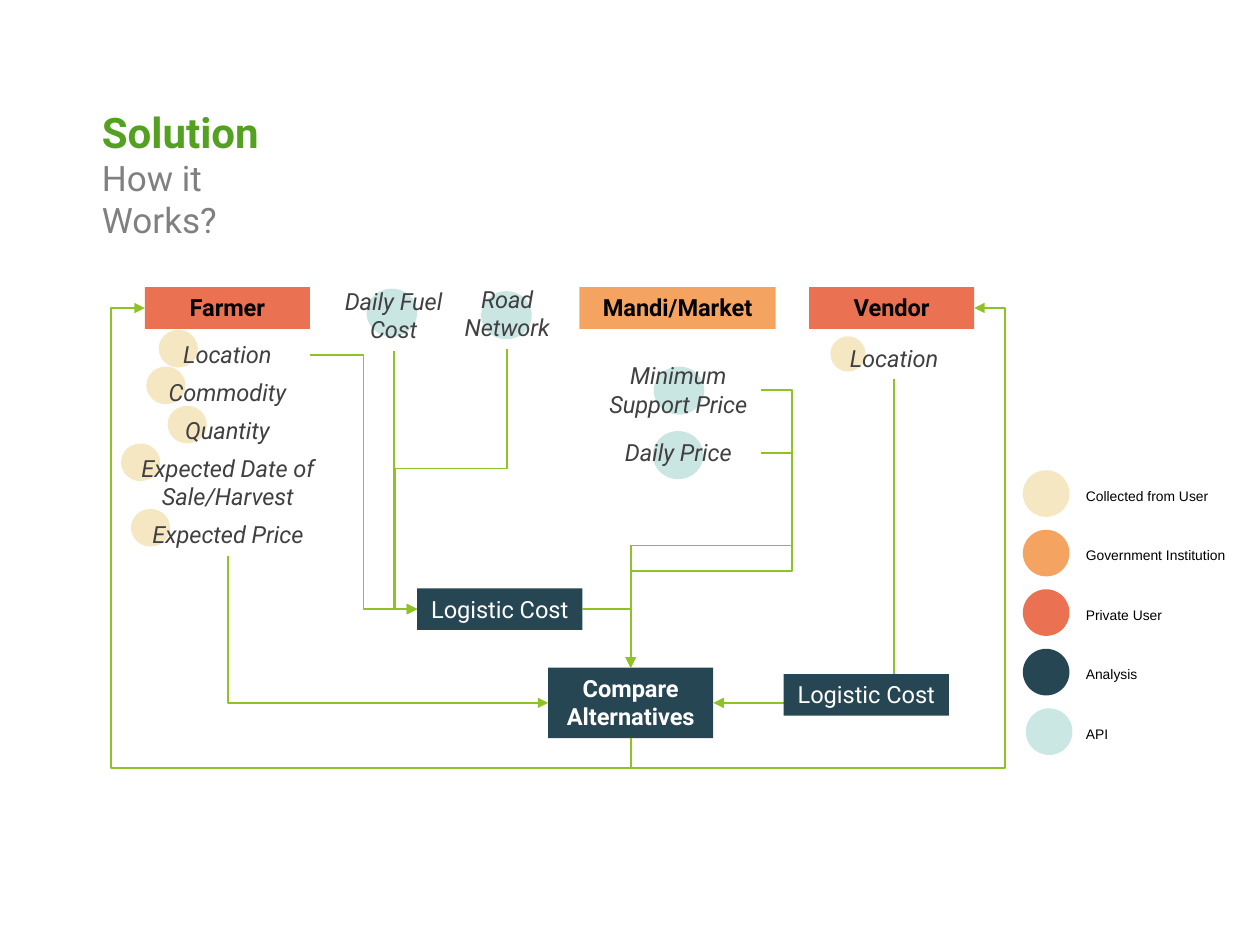
from dataclasses import dataclass

from lxml.etree import SubElement
from pptx import Presentation
from pptx.dml.color import RGBColor
from pptx.enum.shapes import MSO_CONNECTOR as CONN, MSO_SHAPE as SHAPE
from pptx.enum.text import MSO_ANCHOR as ANCHOR, MSO_AUTO_SIZE as FIT, PP_ALIGN as ALIGN
from pptx.oxml.ns import qn
from pptx.util import Cm, Pt


@dataclass(frozen=True)
class Theme:
    font: str = "Roboto"
    legend_font: str = "Arial"
    title_size: float = 24
    subtitle_size: float = 20
    body_size: float = 13.5
    legend_size: float = 7.9
    title: str = "54A021"
    subtitle: str = "808080"
    body: str = "404040"
    black: str = "000000"
    white: str = "FFFFFF"
    line: str = "90C226"
    user: str = "E9C46B"
    api: str = "7BC2B9"
    api_legend: str = "CAE7E3"
    government: str = "F5A361"
    private: str = "EA7152"
    analysis: str = "264653"
    soft: int = 40


THEME = Theme()
TOP, LEFT, BOTTOM, RIGHT = range(4)
BOX_W, ONE_LINE, TWO_LINES = 3.33, 0.84, 1.42


def write(tf, text, size=THEME.body_size, font=THEME.font, color=THEME.body,
          bold=False, italic=False, align=ALIGN.CENTER):
    """Fill the empty first paragraph, or add one after the existing text."""
    p = tf.add_paragraph() if tf.text else tf.paragraphs[0]
    p.alignment = align
    r = p.add_run()
    r.text = text
    f = r.font
    f.size, f.name, f.bold, f.italic = Pt(size), font, bold, italic
    f.color.rgb = RGBColor.from_string(color)


def side_point(sp, side):
    x = {LEFT: 0, RIGHT: sp.width}.get(side, sp.width // 2)
    y = {TOP: 0, BOTTOM: sp.height}.get(side, sp.height // 2)
    return sp.left + x, sp.top + y


class Diagram:
    def __init__(self, slide, theme):
        self.s, self.theme = slide, theme

    def title(self, heading, subtitle, x, y, w, h):
        t, sp = self.theme, self.s.shapes.title
        sp.left, sp.top, sp.width, sp.height = Cm(x), Cm(y), Cm(w), Cm(h)
        tf = sp.text_frame
        tf.word_wrap, tf.auto_size = True, FIT.NONE
        tf.vertical_anchor = ANCHOR.TOP
        write(tf, heading, size=t.title_size, color=t.title, bold=True, align=ALIGN.LEFT)
        write(tf, subtitle, size=t.subtitle_size, color=t.subtitle, align=ALIGN.LEFT)

    def shape(self, kind, x, y, w, h, fill, alpha=100):
        sp = self.s.shapes.add_shape(kind, Cm(x), Cm(y), Cm(w), Cm(h))
        sp.shadow.inherit = False
        sp.fill.solid()
        sp.fill.fore_color.rgb = RGBColor.from_string(fill)
        sp.line.fill.background()
        if alpha < 100:
            clr = sp.element.spPr.find(qn("a:solidFill"))[0]
            SubElement(clr, qn("a:alpha"), val=str(alpha * 1000))
        return sp

    def dot(self, x, y, w, h, fill, alpha=100):
        return self.shape(SHAPE.OVAL, x, y, w, h, fill, alpha)

    def box(self, text, x, y, fill, w=BOX_W, h=ONE_LINE, **fmt):
        sp = self.shape(SHAPE.RECTANGLE, x, y, w, h, fill)
        tf = sp.text_frame
        tf.word_wrap, tf.auto_size = True, FIT.SHAPE_TO_FIT_TEXT
        tf.vertical_anchor = ANCHOR.TOP
        write(tf, text, **fmt)
        return sp

    def label(self, text, x, y, w=BOX_W, h=ONE_LINE, **fmt):
        sp = self.s.shapes.add_textbox(Cm(x), Cm(y), Cm(w), Cm(h))
        tf = sp.text_frame
        tf.word_wrap, tf.auto_size = True, FIT.SHAPE_TO_FIT_TEXT
        write(tf, text, **fmt)
        return sp

    def elbow(self, start, start_side, end, end_side, bends, *adjust):
        """Join two sides by an arrow; adjust gives bend places as shares of its extent."""
        (x1, y1), (x2, y2) = side_point(start, start_side), side_point(end, end_side)
        cx = self.s.shapes.add_connector(CONN.ELBOW, x1, y1, x2, y2)
        cx.begin_connect(start, start_side)
        cx.end_connect(end, end_side)

        # The preset leaves along its own x axis, so a vertical exit needs a turn.
        vertical = start_side in (TOP, BOTTOM)
        right, up = x2 > x1, y2 < y1
        w, h = abs(x2 - x1), abs(y2 - y1)
        if vertical:
            w, h = h, w
        cx.left, cx.top = (x1 + x2 - w) // 2, (y1 + y2 - h) // 2
        cx.width, cx.height = w, h
        turn = 0 if not vertical else 270 if right and not up else 90
        flip_h = (up or right) if vertical else not right
        flip_v = vertical and up and right
        spPr = cx.element.spPr
        xfrm = spPr.find(qn("a:xfrm"))
        xfrm.set("rot", str(turn * 60000))
        xfrm.set("flipH", str(int(flip_h)))
        xfrm.set("flipV", str(int(flip_v)))

        geom = spPr.find(qn("a:prstGeom"))
        geom.set("prst", f"bentConnector{bends + 1}")
        for i, share in enumerate(adjust, 1):
            SubElement(geom.find(qn("a:avLst")), qn("a:gd"),
                       name=f"adj{i}", fmla=f"val {round(share * 100000)}")
        cx.line.width = Pt(1)
        cx.line.color.rgb = RGBColor.from_string(self.theme.line)
        SubElement(spPr.find(qn("a:ln")), qn("a:tailEnd"), type="triangle")
        SubElement(spPr, qn("a:effectLst"))


def main():
    prs = Presentation()
    prs.slide_width, prs.slide_height = Cm(25.4), Cm(19.05)
    t = THEME
    d = Diagram(prs.slides.add_slide(prs.slide_layouts[5]), t)
    d.title("Solution", "How it Works?", 1.8, 2.01, 4.85, 2.13)

    for x, y in ((7.39, 5.82), (9.7, 5.87), (13.18, 7.39), (13.16, 8.69)):
        d.dot(x, y, 1.02, 0.97, t.api, t.soft)
    for x, y in ((3.2, 6.65), (2.95, 7.39), (3.38, 8.18), (2.44, 8.94), (2.64, 10.26)):
        d.dot(x, y, 0.79, 0.76, t.user, t.soft)
    d.dot(16.74, 6.78, 0.71, 0.71, t.user, t.soft)

    actor = dict(color=t.black, bold=True)
    farmer = d.box("Farmer", 2.92, 5.79, t.private, **actor)
    d.box("Mandi/Market", 11.68, 5.79, t.government, w=3.96, **actor)
    vendor = d.box("Vendor", 16.31, 5.79, t.private, **actor)

    data = dict(italic=True)
    farmer_place = d.label("Location", 2.92, 6.73, **data)
    d.label("Commodity", 2.92, 7.49, **data)
    d.label("Quantity", 2.92, 8.26, **data)
    d.label("Expected Date of Sale/Harvest", 2.26, 9.02, 4.67, TWO_LINES, **data)
    expected_price = d.label("Expected Price", 2.51, 10.36, 4.17, **data)
    fuel = d.label("Daily Fuel Cost", 6.27, 5.66, h=TWO_LINES, **data)
    roads = d.label("Road Network", 8.56, 5.61, h=TWO_LINES, **data)
    support_price = d.label("Minimum Support Price", 12.01, 7.16, h=TWO_LINES, **data)
    daily_price = d.label("Daily Price", 12.01, 8.71, **data)
    vendor_place = d.label("Location", 16.36, 6.81, **data)

    logistic = d.box("Logistic Cost", 8.41, 11.86, t.analysis, color=t.white)
    compare = d.box("Compare Alternatives", 11.05, 13.46, t.analysis, h=TWO_LINES,
                    color=t.white, bold=True)

    d.elbow(farmer_place, RIGHT, logistic, LEFT, 2, 0.5)
    d.elbow(fuel, BOTTOM, logistic, LEFT, 1)
    d.elbow(roads, BOTTOM, logistic, LEFT, 3, 0.46, 1.25)
    d.elbow(expected_price, BOTTOM, compare, LEFT, 1)
    d.elbow(logistic, RIGHT, compare, TOP, 1)
    d.elbow(support_price, RIGHT, compare, TOP, 3, -0.24, 0.56)
    d.elbow(daily_price, RIGHT, compare, TOP, 3, -0.24, 0.55)
    d.elbow(compare, BOTTOM, farmer, LEFT, 3, -0.07, 1.07)
    d.elbow(compare, BOTTOM, vendor, RIGHT, 3, -0.07, 1.09)
    d.elbow(vendor_place, BOTTOM, compare, RIGHT, 1)
    # Covers the arrow that runs from the vendor's location.
    d.box("Logistic Cost", 15.8, 13.59, t.analysis, color=t.white)

    legend = (
        ("Collected from User", 3.48, 20.62, t.user, t.soft),
        ("Government Institution", 3.81, 20.62, t.government, 100),
        ("Private User", 2.29, 20.62, t.private, 100),
        ("Analysis", 1.68, 20.62, t.analysis, 100),
        ("API", 1.68, 20.68, t.api_legend, 100),
    )
    for i, (text, w, x, fill, alpha) in enumerate(legend):
        y = 9.48 + 1.2 * i
        d.dot(x, y, 0.94, 0.94, fill, alpha)
        d.label(text, 21.64, y + 0.22, w, 0.58, size=t.legend_size,
                font=t.legend_font, color=t.black, align=ALIGN.LEFT)

    prs.save("out.pptx")


if __name__ == "__main__":
    main()
